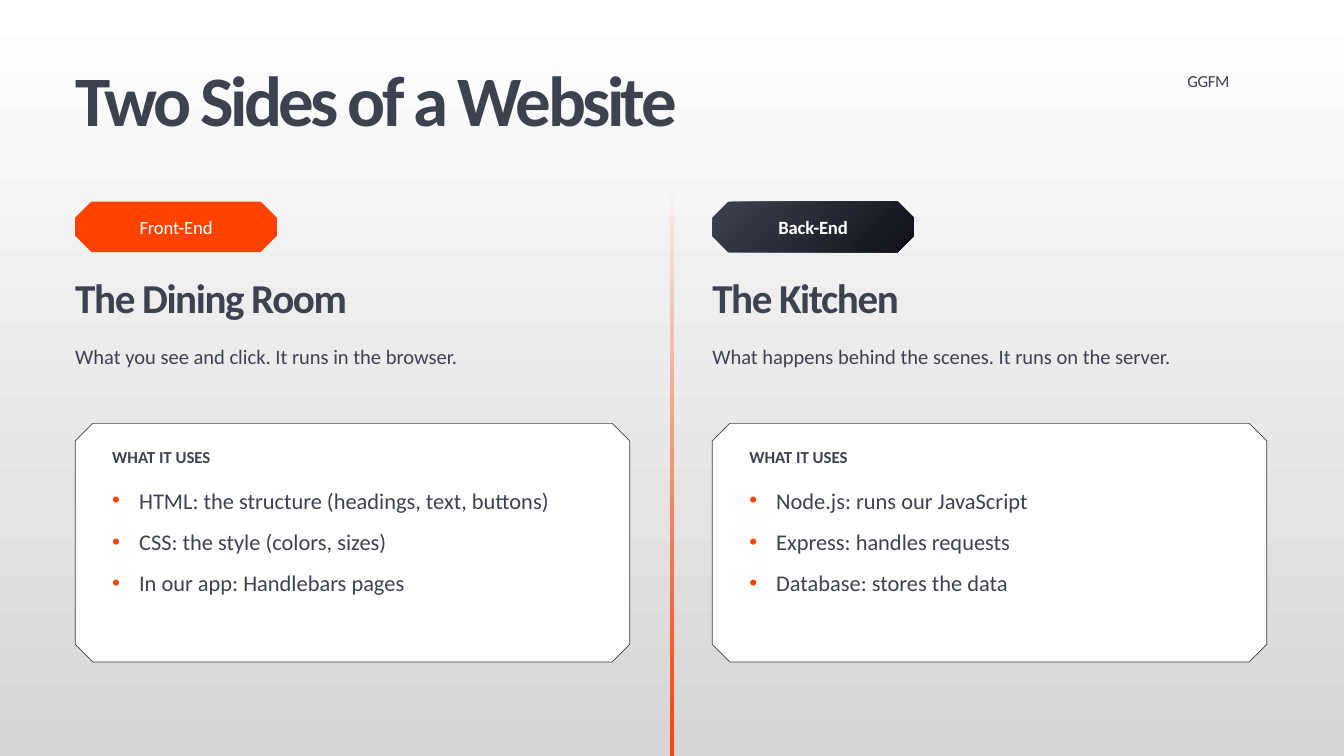
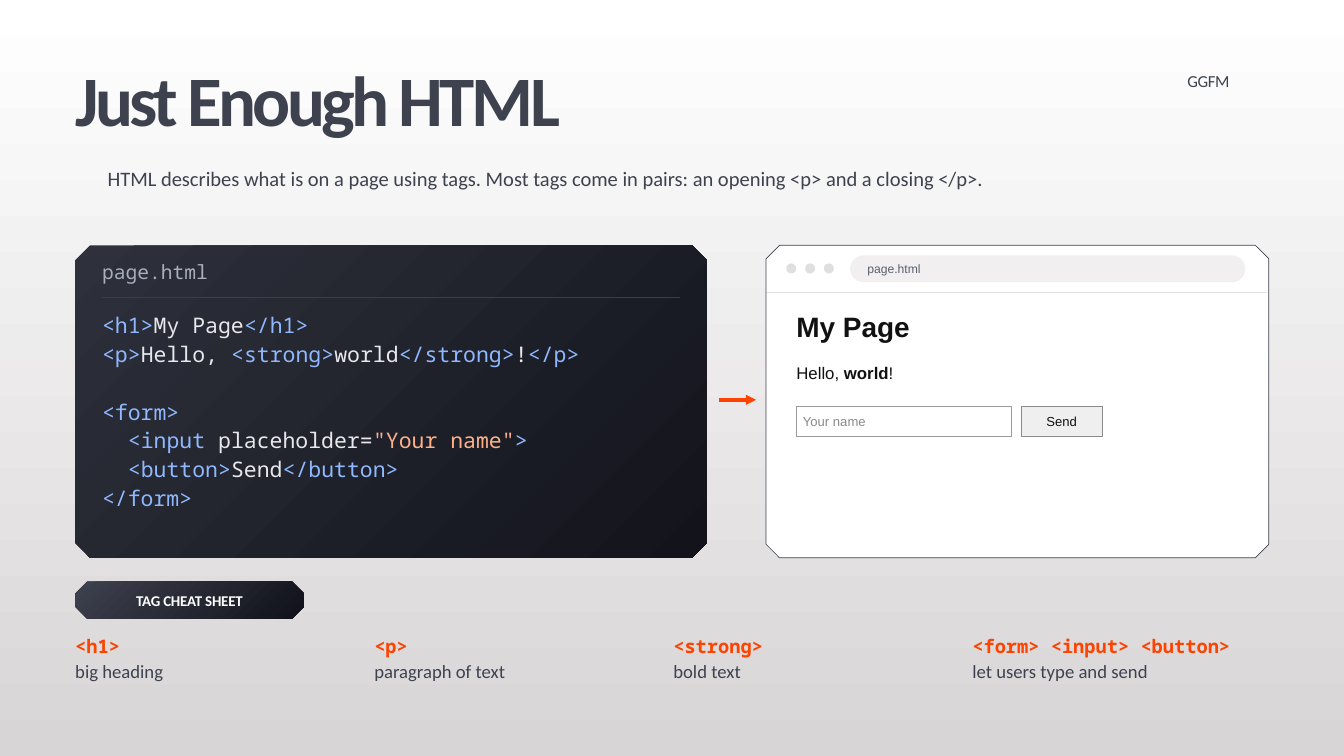
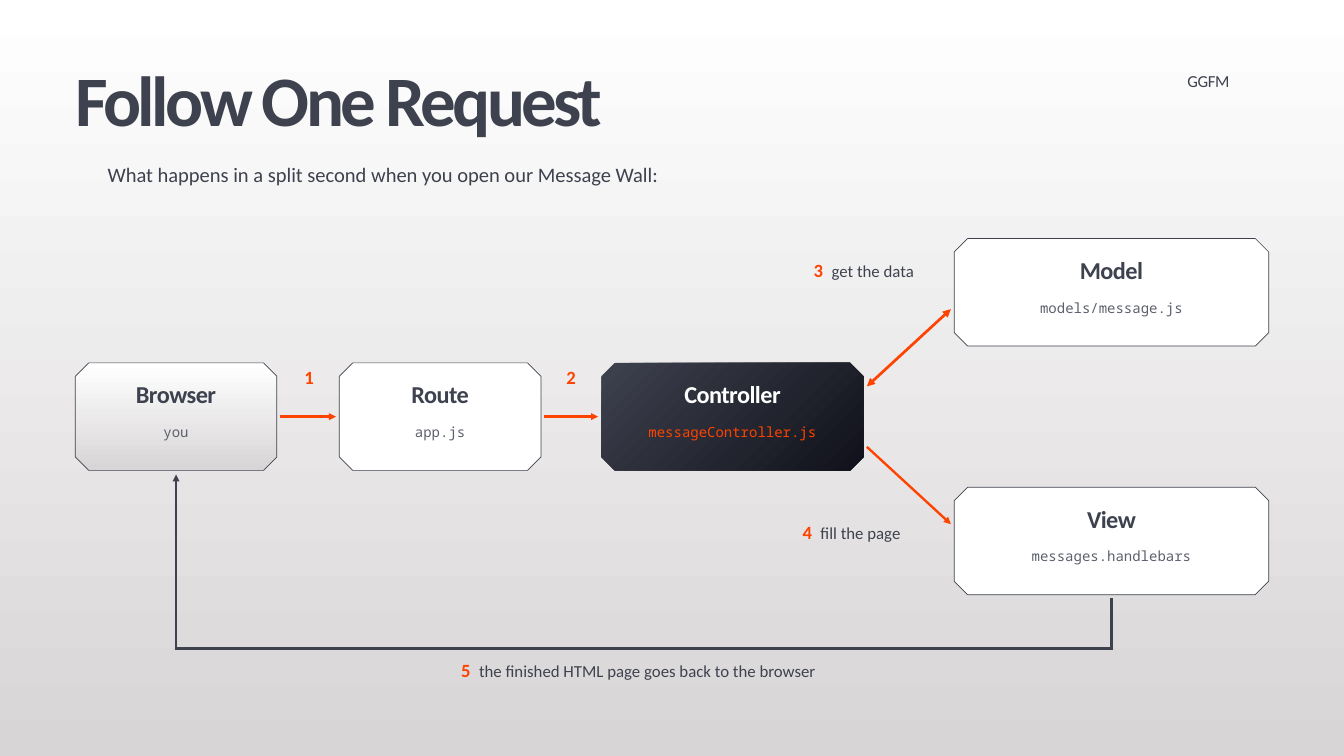
from dataclasses import dataclass, replace

from pptx import Presentation
from pptx.dml.color import RGBColor
from pptx.enum.shapes import MSO_CONNECTOR, MSO_SHAPE
from pptx.enum.text import MSO_ANCHOR, MSO_AUTO_SIZE, PP_ALIGN
from pptx.oxml.ns import qn
from pptx.oxml.xmlchemy import OxmlElement
from pptx.util import Inches, Pt

LEFT, CENTER, RIGHT = PP_ALIGN.LEFT, PP_ALIGN.CENTER, PP_ALIGN.RIGHT
TOP, MIDDLE = MSO_ANCHOR.TOP, MSO_ANCHOR.MIDDLE
OCTAGON, RECTANGLE = MSO_SHAPE.OCTAGON, MSO_SHAPE.RECTANGLE
ROUNDED, OVAL = MSO_SHAPE.ROUNDED_RECTANGLE, MSO_SHAPE.OVAL
STRAIGHT = MSO_CONNECTOR.STRAIGHT
NO_AUTOFIT = MSO_AUTO_SIZE.NONE

COLORS = {
    "white": "FFFFFF", "mist": "D8D5D6", "slate": "3E424E", "ink": "10111A",
    "orange": "FE4300", "muted": "5C606C",
    "code_top": "2E313C", "code_bottom": "12131B", "code_rule": "3A3E4B",
    "code_name": "A9AEBD", "tag": "8FB8FF", "plain": "E8E8EC", "string": "FFB089",
    "chrome": "E1DEDF", "address": "F1EFF0", "page_text": "111111",
    "field_line": "9A9A9A", "gray": "8A8A8A", "button": "EFEFEF",
}
# Gradients: first colour, last colour, clockwise angle
PAPER = ("white", "mist", 90)
DARK = ("slate", "ink", 45)
CODE_PANEL = ("code_top", "code_bottom", 45)

SANS, MONO, WEB = "Calibri", "Noto Sans Mono", "Arial"
MARGIN = 1.12
RIGHT_EDGE = 18.88


@dataclass
class Box:
    left: float
    top: float
    width: float
    height: float

    def inner(self, left, top, width, height):
        return Box(self.left + left, self.top + top, width, height)

    def lengths(self):
        return [Inches(v) for v in (self.left, self.top, self.width, self.height)]


@dataclass
class Style:
    size: float
    color: str = "slate"
    bold: bool = False
    font: str = SANS
    tracking: float = 0


TITLE = Style(76, bold=True, tracking=-3.8)
INTRO = Style(22)
LABEL = Style(18)
NUMBER = Style(20, "orange", True)


# ---- Shared drawing helpers ----

def rgb(name):
    return RGBColor.from_string(COLORS[name])


def paint(fill, paint_value):
    """Fill with a colour name or with a gradient tuple."""
    if isinstance(paint_value, str):
        fill.solid()
        fill.fore_color.rgb = rgb(paint_value)
        return
    first, last, angle = paint_value
    fill.gradient()
    fill.gradient_angle = 360 - angle
    for stop, name in zip(fill.gradient_stops, (first, last)):
        stop.color.rgb = rgb(name)


def format_run(run, style):
    font = run.font
    font.size, font.bold, font.name = Pt(style.size), style.bold, style.font
    font.color.rgb = rgb(style.color)
    if style.tracking:
        run._r.get_or_add_rPr().set("spc", str(round(style.tracking * 100)))


def write(shape, lines, align=LEFT, spacing=None, anchor=TOP, insets=(0, 0)):
    """Each line is a list of (text, style) runs; returns the paragraphs."""
    frame = shape.text_frame
    frame.word_wrap, frame.auto_size = True, NO_AUTOFIT
    frame.vertical_anchor = anchor
    frame.margin_left, frame.margin_right = map(Inches, insets)
    frame.margin_top = frame.margin_bottom = 0
    for index, line in enumerate(lines):
        paragraph = frame.add_paragraph() if index else frame.paragraphs[0]
        paragraph.alignment, paragraph.line_spacing = align, spacing
        for text, style in line:
            run = paragraph.add_run()
            run.text = text
            format_run(run, style)
    return frame.paragraphs


def add_text(slide, box, lines, **options):
    return write(slide.shapes.add_textbox(*box.lengths()), lines, **options)


def add_box(slide, kind, box, fill, line=None, adjust=None):
    shape = slide.shapes.add_shape(kind, *box.lengths())
    shape.shadow.inherit = False
    paint(shape.fill, fill)
    if line:
        shape.line.color.rgb, shape.line.width = rgb(line), Pt(0.75)
    else:
        shape.line.fill.background()
    if adjust is not None:
        shape.adjustments[0] = adjust
    return shape


def add_cut_box(slide, box, fill, cut, line=None):
    """Box with all four corners cut off by the given length."""
    return add_box(slide, OCTAGON, box, fill, line, cut / min(box.width, box.height))


def add_line(slide, start, end, color, width, arrows=()):
    connector = slide.shapes.add_connector(STRAIGHT, *map(Inches, (*start, *end)))
    connector.line.color.rgb, connector.line.width = rgb(color), Pt(width)
    properties = connector.element.spPr
    for name in arrows:
        arrow = OxmlElement(f"a:{name}")
        arrow.set("type", "triangle")
        properties.find(qn("a:ln")).append(arrow)
    properties.append(OxmlElement("a:effectLst"))


def add_badge(slide, box, text, size, fill, bold=True):
    badge = add_cut_box(slide, box, fill, 0.32 * box.height)
    style = Style(size, "white", bold, tracking=-0.2)
    write(badge, [[(text, style)]], CENTER, anchor=MIDDLE, insets=(0.1, 0.1))


def add_bullet(paragraph):
    properties = paragraph._p.get_or_add_pPr()
    properties.set("marL", str(Inches(0.4)))
    properties.set("indent", str(-Inches(0.4)))
    color = OxmlElement("a:buClr")
    value = OxmlElement("a:srgbClr")
    value.set("val", COLORS["orange"])
    color.append(value)
    bullet = OxmlElement("a:buChar")
    bullet.set("char", "•")
    properties.extend([color, bullet])


def remove_bullet(paragraph):
    properties = paragraph._p.get_or_add_pPr()
    properties.set("marL", "0")
    properties.set("indent", "0")
    properties.append(OxmlElement("a:buNone"))


def place(placeholder, box):
    (placeholder.left, placeholder.top,
     placeholder.width, placeholder.height) = box.lengths()


def start_slide(presentation, layout_name, title, title_width):
    layout = presentation.slide_layouts.get_by_name(layout_name)
    slide = presentation.slides.add_slide(layout)
    place(slide.shapes.title, Box(MARGIN, 0.95, title_width, 1.2))
    write(slide.shapes.title, [[(title, TITLE)]], spacing=0.92)
    add_text(slide, Box(17.67, 1.06, 1.6, 0.4), [[("GGFM", Style(18, tracking=-0.4))]])
    return slide


def add_intro(slide, top, text):
    add_text(slide, Box(1.6, top, 17.22, 0.9), [[(text, INTRO)]], spacing=1.18)


# ---- Slide 1: two sides ----

def add_side(slide, box, placeholder, badge, fill, bold, heading, summary, items):
    add_badge(slide, box.inner(0, 0, 3, 0.75), badge, 20, fill, bold)
    add_text(slide, box.inner(0, 1.05, 8.2, 0.9),
             [[(heading, Style(44, bold=True, tracking=-1.5))]])
    add_text(slide, box.inner(0, 2.05, 8, 1), [[(summary, INTRO)]], spacing=1.18)
    card = add_cut_box(slide, box.inner(0, 3.3, box.width, 3.55), "white", 0.26, "slate")

    # List on top of its card
    card.element.addnext(placeholder.element)
    place(placeholder, box.inner(0.55, 3.65, 7.3, 3.1))
    lines = [[("WHAT IT USES", Style(18, bold=True))]]
    lines += [[(item, Style(24))] for item in items]
    caption, *bullets = write(placeholder, lines)
    caption.space_before, caption.space_after = Pt(0), Pt(6)
    remove_bullet(caption)
    for paragraph in bullets:
        paragraph.line_spacing, paragraph.space_before = 1.18, Pt(10)
        add_bullet(paragraph)


def build_two_sides(presentation):
    slide = start_slide(presentation, "Two Content", "Two Sides of a Website", 16)

    # Divider fading in from the top
    divider = add_box(slide, RECTANGLE, Box(9.98, 2.75, 0.04, 8.5),
                      ("orange", "orange", 90))
    alpha = OxmlElement("a:alpha")
    alpha.set("val", "0")
    divider.element.find(".//" + qn("a:srgbClr")).append(alpha)

    sides = [
        ("Front-End", "orange", False, "The Dining Room",
         "What you see and click. It runs in the browser.",
         ["HTML: the structure (headings, text, buttons)",
          "CSS: the style (colors, sizes)", "In our app: Handlebars pages"]),
        ("Back-End", DARK, True, "The Kitchen",
         "What happens behind the scenes. It runs on the server.",
         ["Node.js: runs our JavaScript", "Express: handles requests",
          "Database: stores the data"]),
    ]
    for index, side in enumerate(sides):
        box = Box(MARGIN + index * 9.48, 3, 8.25, 6.85)
        add_side(slide, box, slide.placeholders[index + 1], *side)


# ---- Slide 2: HTML ----

CODE = [
    [("<h1>", "tag"), ("My Page", "plain"), ("</h1>", "tag")],
    [("<p>", "tag"), ("Hello, ", "plain"), ("<strong>", "tag"), ("world", "plain"),
     ("</strong>", "tag"), ("!", "plain"), ("</p>", "tag")],
    [(" ", "plain")],
    [("<form>", "tag")],
    [("  ", "plain"), ("<input", "tag"), (" placeholder=", "plain"),
     ('"Your name"', "string"), (">", "tag")],
    [("  ", "plain"), ("<button>", "tag"), ("Send", "plain"), ("</button>", "tag")],
    [("</form>", "tag")],
]


def add_code_panel(slide, box):
    add_cut_box(slide, box, CODE_PANEL, 0.22)
    left, width = 0.4, box.width - 0.8
    add_text(slide, box.inner(left, 0.22, width, 0.45),
             [[("page.html", Style(21, "code_name", font=MONO))]])
    rule = box.inner(left, 0.78, width, 0)
    add_line(slide, (rule.left, rule.top), (rule.left + width, rule.top),
             "code_rule", 0.86)
    lines = [[(text, Style(23, color, font=MONO)) for text, color in line]
             for line in CODE]
    add_text(slide, box.inner(left, 0.95, width, 3.55), lines, spacing=1.12)


def add_browser_window(slide, box):
    add_cut_box(slide, box, "white", 0.2, "slate")

    # Toolbar
    for index in range(3):
        add_box(slide, OVAL, box.inner(0.3 + index * 0.28, 0.27, 0.15, 0.15), "chrome")
    address = add_box(slide, ROUNDED, box.inner(1.25, 0.15, box.width - 1.6, 0.4),
                      "address", adjust=0.5)
    write(address, [[("page.html", Style(13, "muted", font=WEB))]],
          anchor=MIDDLE, insets=(0.2, 0.1))
    rule_top = box.top + 0.7
    add_line(slide, (box.left + 0.02, rule_top),
             (box.left + box.width - 0.02, rule_top), "chrome", 0.86)

    # Page content
    text = Style(18, "page_text", font=WEB)
    strong = replace(text, bold=True)
    width = box.width - 0.9
    add_text(slide, box.inner(0.45, 0.95, width, 0.7),
             [[("My Page", replace(strong, size=30))]])
    add_text(slide, box.inner(0.45, 1.75, width, 0.5),
             [[("Hello, ", text), ("world", strong), ("!", text)]])
    field = add_box(slide, RECTANGLE, box.inner(0.45, 2.4, 3.2, 0.45),
                    "white", "field_line")
    write(field, [[("Your name", Style(14, "gray", font=WEB))]],
          anchor=MIDDLE, insets=(0.1, 0.1))
    button = add_box(slide, RECTANGLE, box.inner(3.8, 2.4, 1.2, 0.45), "button", "gray")
    write(button, [[("Send", replace(text, size=14))]], CENTER, anchor=MIDDLE)


def add_cheat_sheet(slide, box):
    add_badge(slide, box.inner(0, 0, 3.4, 0.56), "TAG CHEAT SHEET", 16, DARK)
    entries = [
        ("<h1>", "big heading"), ("<p>", "paragraph of text"),
        ("<strong>", "bold text"),
        ("<form> <input> <button>", "let users type and send"),
    ]
    for index, (tag, meaning) in enumerate(entries):
        paragraphs = add_text(
            slide, box.inner(index * 4.45, 0.8, 4.3, 1.1),
            [[(tag, replace(NUMBER, font=MONO))], [(meaning, Style(20))]])
        paragraphs[1].space_before = Pt(3)


def build_html(presentation):
    slide = start_slide(presentation, "Title Only", "Just Enough HTML", 10)
    add_intro(slide, 2.4, "HTML describes what is on a page using tags. Most tags come "
                          "in pairs: an opening <p> and a closing </p>.")
    add_code_panel(slide, Box(MARGIN, 3.65, 9.4, 4.65))
    add_line(slide, (10.7, 5.95), (11.25, 5.95), "orange", 3.6, ["tailEnd"])
    add_browser_window(slide, Box(11.4, 3.65, RIGHT_EDGE - 11.4, 4.65))
    add_cheat_sheet(slide, Box(MARGIN, 8.65, RIGHT_EDGE - MARGIN, 1.9))


# ---- Slide 3: request flow ----

def add_node(slide, box, name, file_name, fill="white"):
    dark = fill == DARK
    add_cut_box(slide, box, fill, 0.2, None if dark else "slate")
    name_style = Style(26, "white" if dark else "slate", True, tracking=-0.6)
    file_style = Style(15, "orange" if dark else "muted", font=MONO)
    add_text(slide, box.inner(0.3, 0.25, box.width - 0.6, 0.6),
             [[(name, name_style)]], align=CENTER)
    add_text(slide, box.inner(0.2, 0.9, box.width - 0.4, 0.5),
             [[(file_name, file_style)]], align=CENTER)


def add_step(slide, box, number, text, align):
    add_text(slide, box, [[(f"{number}  ", NUMBER), (text, LABEL)]], align=align)


def build_request(presentation):
    slide = start_slide(presentation, "Title Only", "Follow One Request", 12)
    add_intro(slide, 2.35,
              "What happens in a split second when you open our Message Wall:")

    # Nodes
    last_left, height = 14.2, 1.6
    last_width = RIGHT_EDGE - last_left
    browser = Box(MARGIN, 5.4, 3, height)
    view = Box(last_left, 7.25, last_width, height)
    add_node(slide, browser, "Browser", "you", PAPER)
    add_node(slide, Box(5.05, 5.4, 3, height), "Route", "app.js")
    add_node(slide, Box(8.95, 5.4, 3.9, height), "Controller",
             "messageController.js", DARK)
    add_node(slide, Box(last_left, 3.55, last_width, height), "Model",
             "models/message.js")
    add_node(slide, view, "View", "messages.handlebars")

    # Steps 1 and 2
    for number, start, end, label_left in [("1", 4.17, 5, 3.9), ("2", 8.1, 8.9, 7.8)]:
        add_line(slide, (start, 6.2), (end, 6.2), "orange", 2.52, ["tailEnd"])
        add_text(slide, Box(label_left, 5.45, 1.4, 0.4), [[(number, NUMBER)]],
                 align=CENTER)

    # Steps 3 and 4
    add_line(slide, (12.9, 5.75), (14.15, 4.6), "orange", 2.88, ["headEnd", "tailEnd"])
    add_step(slide, Box(10.4, 3.85, 3.2, 0.5), 3, "get the data", RIGHT)
    add_line(slide, (12.9, 6.65), (14.15, 7.8), "orange", 2.52, ["tailEnd"])
    add_step(slide, Box(10, 7.75, 3.4, 0.5), 4, "fill the page", RIGHT)

    # Step 5: the way back, overlapping slightly at the corners
    start_x = view.left + view.width / 2
    end_x = browser.left + browser.width / 2
    floor, overlap = 9.65, 0.02
    add_line(slide, (start_x, 8.9), (start_x, floor), "slate", 2.52)
    add_line(slide, (start_x + overlap, floor), (end_x - overlap, floor), "slate", 2.52)
    add_line(slide, (end_x, floor + overlap), (end_x, 7.06), "slate", 2.52, ["tailEnd"])
    add_step(slide, Box(3, 9.8, 13, 0.5), 5,
             "the finished HTML page goes back to the browser", CENTER)


def main():
    presentation = Presentation()
    presentation.slide_width, presentation.slide_height = Inches(20), Inches(11.25)
    paint(presentation.slide_master.background.fill, PAPER)
    build_two_sides(presentation)
    build_html(presentation)
    build_request(presentation)
    presentation.save("out.pptx")


if __name__ == "__main__":
    main()
